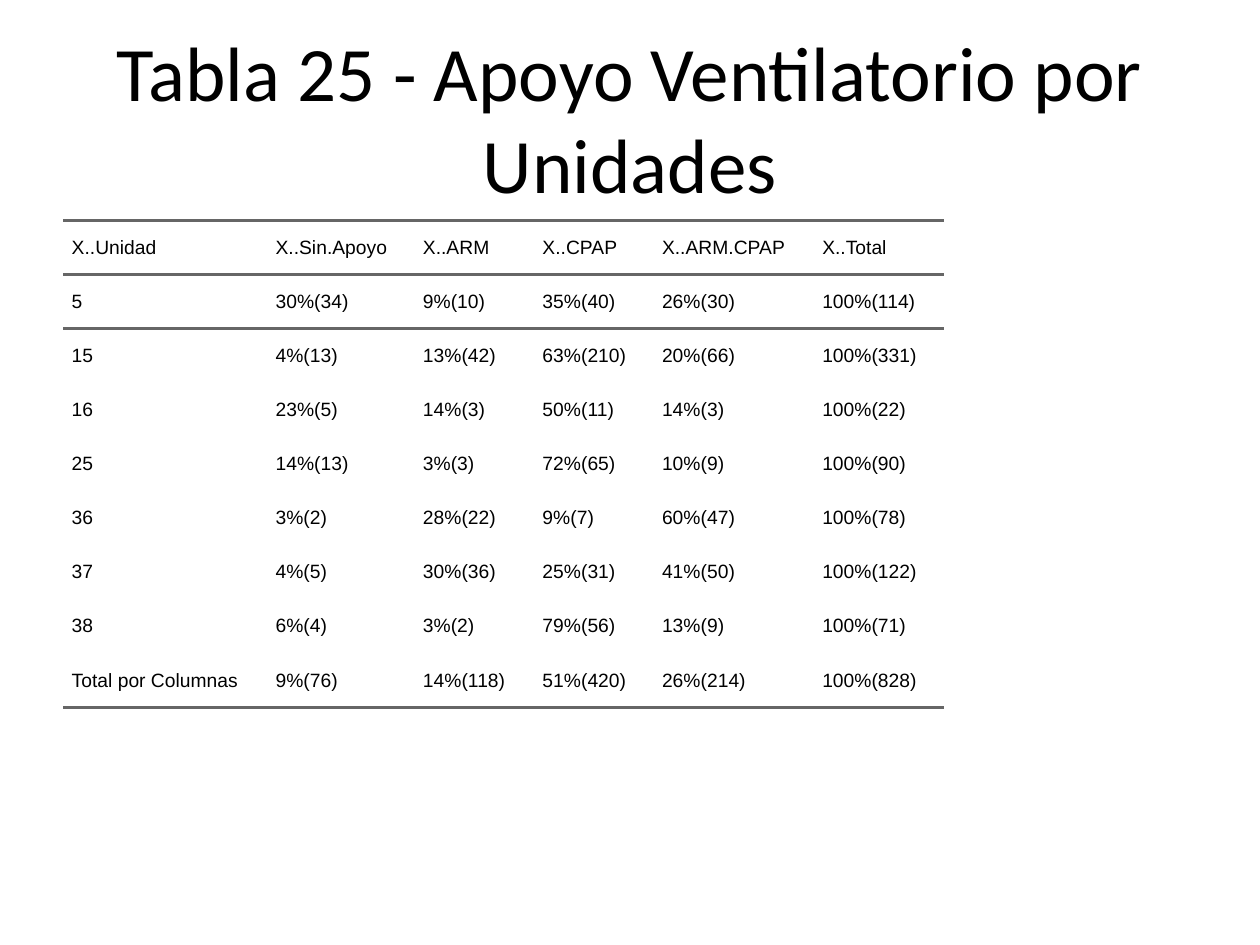
import pptx
import pptx.util
import pptx.dml.color
import pptx.enum.text
import pptx.oxml
import pptx.oxml.ns

Cm = pptx.util.Cm
Pt = pptx.util.Pt
BLACK = pptx.dml.color.RGBColor(0x00, 0x00, 0x00)
RULE_GRAY = pptx.dml.color.RGBColor(0x66, 0x66, 0x66)
MIDDLE = pptx.enum.text.MSO_ANCHOR.MIDDLE
NO_STYLE = "{2D5ABB26-0587-4C30-8999-92F81FD0307C}"

TITLE = "Tabla 25 - Apoyo Ventilatorio por Unidades"
SUPPORT_BY_UNIT = [
    ("X..Unidad", "X..Sin.Apoyo", "X..ARM", "X..CPAP", "X..ARM.CPAP", "X..Total"),
    ("5", "30%(34)", "9%(10)", "35%(40)", "26%(30)", "100%(114)"),
    ("15", "4%(13)", "13%(42)", "63%(210)", "20%(66)", "100%(331)"),
    ("16", "23%(5)", "14%(3)", "50%(11)", "14%(3)", "100%(22)"),
    ("25", "14%(13)", "3%(3)", "72%(65)", "10%(9)", "100%(90)"),
    ("36", "3%(2)", "28%(22)", "9%(7)", "60%(47)", "100%(78)"),
    ("37", "4%(5)", "30%(36)", "25%(31)", "41%(50)", "100%(122)"),
    ("38", "6%(4)", "3%(2)", "79%(56)", "13%(9)", "100%(71)"),
    ("Total por Columnas", "9%(76)", "14%(118)", "51%(420)", "26%(214)", "100%(828)"),
]
COLUMN_WIDTHS = [Cm(w) for w in (4.11, 2.97, 2.41, 2.41, 3.23, 2.62)]
ROW_HEIGHT = Cm(1.09)
LEFT = Cm(1.27)
LAST_ROW = len(SUPPORT_BY_UNIT) - 1
RULED_SIDES = {0: ("lnT", "lnB"), 1: ("lnT",), LAST_ROW: ("lnB",)}


def add_run(paragraph, text, font_name, size):
    run = paragraph.add_run()
    run.text = text
    run.font.name = font_name
    run.font.size = Pt(size)
    run.font.color.rgb = BLACK


def add_rules(cell, sides):
    properties = cell._tc.get_or_add_tcPr()
    for position, side in enumerate(sides):
        rule = pptx.oxml.parse_xml(
            f'<a:{side} {pptx.oxml.ns.nsdecls("a")} w="{Pt(2)}"><a:solidFill>'
            f'<a:srgbClr val="{RULE_GRAY}"/></a:solidFill></a:{side}>')
        properties.insert(position, rule)


def fill_cell(cell, text, sides):
    cell.fill.background()
    cell.vertical_anchor = MIDDLE
    cell.margin_left = cell.margin_right = cell.margin_top = cell.margin_bottom = 0
    paragraph = cell.text_frame.paragraphs[0]
    paragraph.space_before = paragraph.space_after = Pt(5)
    paragraph._p.get_or_add_pPr().set("marL", str(Pt(5)))
    add_run(paragraph, text, "Arial", 11)
    add_rules(cell, sides)


presentation = pptx.Presentation()
presentation.slide_width = Cm(25.4)
presentation.slide_height = Cm(19.05)
slide = presentation.slides.add_slide(presentation.slide_layouts[6])

title = slide.shapes.add_textbox(LEFT, Cm(0.76), Cm(22.86), Cm(3.18)).text_frame
title.word_wrap = True
title.vertical_anchor = MIDDLE
title.paragraphs[0].alignment = pptx.enum.text.PP_ALIGN.CENTER
add_run(title.paragraphs[0], TITLE, "Calibri", 44)

support = slide.shapes.add_table(
    len(SUPPORT_BY_UNIT), len(COLUMN_WIDTHS), LEFT, Cm(4.45),
    sum(COLUMN_WIDTHS), ROW_HEIGHT * len(SUPPORT_BY_UNIT)).table
support.first_row = support.horz_banding = False
support._tbl.tblPr.find(pptx.oxml.ns.qn("a:tableStyleId")).text = NO_STYLE
for column, width in zip(support.columns, COLUMN_WIDTHS):
    column.width = width
for r, values in enumerate(SUPPORT_BY_UNIT):
    support.rows[r].height = ROW_HEIGHT
    for c, value in enumerate(values):
        fill_cell(support.cell(r, c), value, RULED_SIDES.get(r, ()))

presentation.save("out.pptx")
